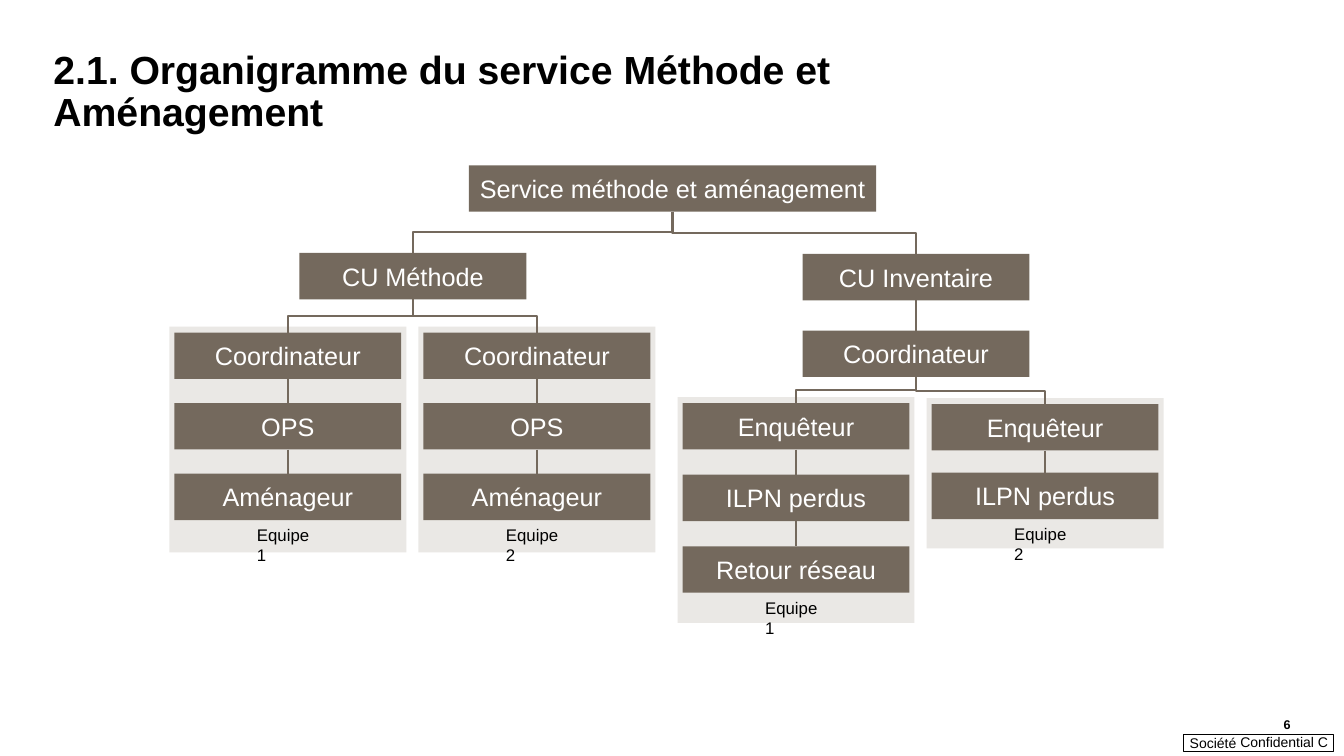
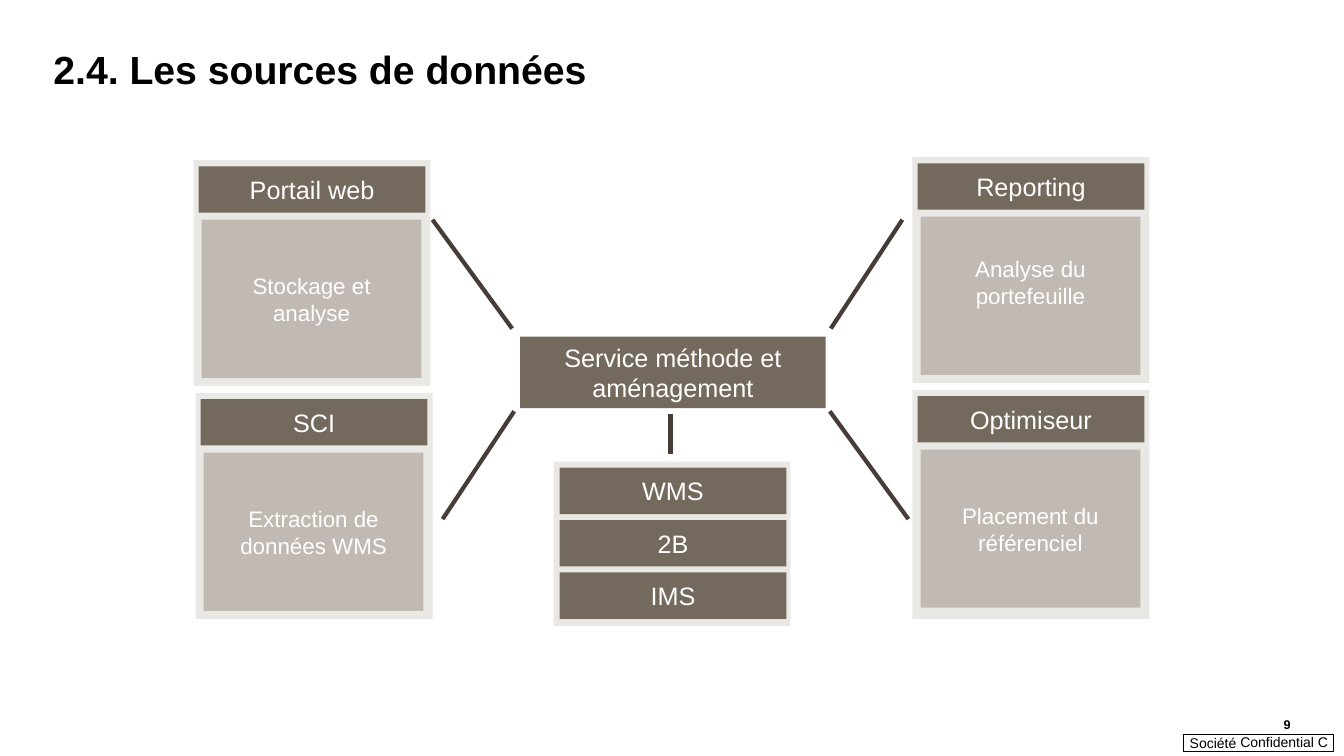
from dataclasses import dataclass

from lxml.etree import SubElement
from pptx import Presentation
from pptx.dml.color import RGBColor
from pptx.enum.shapes import MSO_CONNECTOR as CONN, MSO_SHAPE
from pptx.enum.text import MSO_ANCHOR as ANCHOR, PP_ALIGN as ALIGN
from pptx.oxml.ns import qn
from pptx.shapes.autoshape import Shape
from pptx.shapes.connector import Connector
from pptx.slide import Slide
from pptx.util import Inches, Pt


@dataclass(frozen=True)
class Theme:
    font: str = "Arial"
    black: RGBColor = RGBColor(0x00, 0x00, 0x00)
    white: RGBColor = RGBColor(0xFF, 0xFF, 0xFF)
    box: RGBColor = RGBColor(0x74, 0x69, 0x5D)
    panel: RGBColor = RGBColor(0xEA, 0xE8, 0xE5)
    detail: RGBColor = RGBColor(0xC1, 0xBA, 0xB2)
    link: RGBColor = RGBColor(0x48, 0x3C, 0x38)
    title_size: int = 28
    box_size: int = 18
    detail_size: int = 16
    label_size: int = 12
    footer_size: int = 10
    page_size: int = 9


@dataclass(frozen=True)
class Team:
    number: int
    left: float
    top: float
    pitch: float
    panel_height: float
    roles: tuple[str, ...]


@dataclass(frozen=True)
class Source:
    left: float
    top: float
    height: float
    name: str
    detail: str
    bottom_inset: float = 0.05


THEME = Theme()
BOX_W, BOX_H = 2.25, 0.46
PANEL_W = 2.35
PANEL_PAD_X, PANEL_PAD_Y = 0.05, 0.06

METHOD_ROLES = ("Coordinateur", "OPS", "Aménageur")
METHOD_TEAMS = (
    Team(1, 1.73, 3.3, 0.7, 2.24, METHOD_ROLES),
    Team(2, 4.2, 3.3, 0.7, 2.24, METHOD_ROLES),
)
INVENTORY_TEAMS = (
    Team(1, 6.77, 4, 0.71, 2.24, ("Enquêteur", "ILPN perdus", "Retour réseau")),
    Team(2, 9.24, 4.01, 0.68, 1.49, ("Enquêteur", "ILPN perdus")),
)
SOURCES = (
    Source(1.92, 1.59, 2.24, "Portail web", "Stockage et analyse"),
    Source(1.94, 3.9, 2.24, "SCI", "Extraction de données WMS"),
    Source(9.05, 1.56, 2.24, "Reporting", "Analyse du portefeuille", 0.32),
    Source(9.05, 3.87, 2.27, "Optimiseur", "Placement du référenciel"),
)
SOURCE_LINKS = (
    (5.08, 3.26, 4.29, 2.18),
    (5.1, 4.08, 4.39, 5.15),
    (8.24, 3.26, 8.95, 2.18),
    (8.23, 4.08, 9.01, 5.15),
    (6.65, 4.11, 6.65, 4.5),
)


def write(sp: Shape, text: str, size: int, color: RGBColor,
          align: ALIGN = ALIGN.LEFT, bold: bool = False) -> None:
    tf = sp.text_frame
    tf.word_wrap = True
    tf.text = text
    p = tf.paragraphs[0]
    p.alignment = align
    font = p.runs[0].font
    font.name, font.size, font.bold = THEME.font, Pt(size), bold
    font.color.rgb = color


def set_insets(sp: Shape, left: float = 0) -> None:
    tf = sp.text_frame
    tf.margin_left = Inches(left)
    tf.margin_top = tf.margin_right = tf.margin_bottom = 0


def add_text(s: Slide, text: str, left: float, top: float, width: float,
             height: float, size: int, align: ALIGN = ALIGN.LEFT,
             bold: bool = False, anchor: ANCHOR = ANCHOR.TOP) -> Shape:
    sp = s.shapes.add_textbox(Inches(left), Inches(top), Inches(width), Inches(height))
    write(sp, text, size, THEME.black, align, bold)
    sp.text_frame.vertical_anchor = anchor
    return sp


def add_rect(s: Slide, left: float, top: float, width: float, height: float,
             fill: RGBColor | None) -> Shape:
    sp = s.shapes.add_shape(MSO_SHAPE.RECTANGLE, Inches(left), Inches(top),
                            Inches(width), Inches(height))
    sp.shadow.inherit = False
    sp.line.fill.background()
    if fill is None:
        sp.fill.background()
    else:
        sp.fill.solid()
        sp.fill.fore_color.rgb = fill
    sp.text_frame.vertical_anchor = ANCHOR.MIDDLE
    return sp


def add_box(s: Slide, text: str, left: float, top: float, width: float = BOX_W,
            height: float = BOX_H, fill: RGBColor = THEME.box,
            size: int = THEME.box_size) -> Shape:
    sp = add_rect(s, left, top, width, height, fill)
    write(sp, text, size, THEME.white, ALIGN.CENTER)
    return sp


def style_line(line: Connector, color: RGBColor, width: float) -> None:
    line.line.color.rgb = color
    line.line.width = Pt(width)
    SubElement(line._element.spPr, qn("a:effectLst"))


def join(s: Slide, parent: Shape, child: Shape) -> None:
    """Link the bottom of parent to the top of child, with an elbow if they are offset."""
    x1, y1 = parent.left + parent.width // 2, parent.top + parent.height
    x2, y2 = child.left + child.width // 2, child.top
    dx, dy = x2 - x1, y2 - y1
    offset = abs(dx) > Inches(0.02)
    line = s.shapes.add_connector(CONN.ELBOW if offset else CONN.STRAIGHT, x1, y1, x2, y2)
    line.begin_connect(parent, 2)
    line.end_connect(child, 0)
    if offset:
        # An elbow runs sideways first, so it is turned to leave downwards.
        xfrm = line._element.spPr.find(qn("a:xfrm"))
        for flip in ("flipH", "flipV"):
            xfrm.attrib.pop(flip, None)
        line.width, line.height = dy, abs(dx)
        line.left = (x1 + x2 - dy) // 2
        line.top = (y1 + y2 - abs(dx)) // 2
        line.rotation = 270 if dx > 0 else 90
        if dx > 0:
            xfrm.set("flipH", "1")
    style_line(line, THEME.box, 1.5)


def add_page(prs: Presentation, title: str, number: int) -> Slide:
    """Add a blank slide with the shared title, page number and footer."""
    s = prs.slides.add_slide(prs.slide_layouts[6])
    page = add_text(s, str(number), 12.53, 7.09, 0.27, 0.17, THEME.page_size,
                    ALIGN.RIGHT, True, ANCHOR.BOTTOM)
    mark = add_text(s, "Confidential C", 12.15, 7.23, 1.02, 0.27, THEME.footer_size,
                    ALIGN.RIGHT, anchor=ANCHOR.MIDDLE)
    heading = add_text(s, title, 0.53, 0.5, 10.24, 0.33, THEME.title_size, bold=True)
    for sp in (page, mark, heading):
        set_insets(sp)
    p = heading.text_frame.paragraphs[0]
    p.line_spacing, p.space_after = 0.9, Pt(2)

    owner = add_rect(s, 11.74, 7.29, 1.48, 0.16, None)
    owner.line.color.rgb = THEME.black
    owner.line.width = Pt(0.5)
    write(owner, "Société", THEME.footer_size, THEME.black)
    set_insets(owner, 0.06)
    return s


def add_team(s: Slide, team: Team, parent: Shape) -> None:
    add_rect(s, team.left - PANEL_PAD_X, team.top - PANEL_PAD_Y,
             PANEL_W, team.panel_height, THEME.panel)
    for i, role in enumerate(team.roles):
        box = add_box(s, role, team.left, team.top + i * team.pitch)
        join(s, parent, box)
        parent = box
    last_top = team.top + (len(team.roles) - 1) * team.pitch
    add_text(s, f"Equipe {team.number}", team.left + 0.72, last_top + 0.46,
             0.79, 0.3, THEME.label_size)


def add_source(s: Slide, src: Source) -> None:
    add_rect(s, src.left, src.top, PANEL_W, src.height, THEME.panel)
    add_box(s, src.name, src.left + PANEL_PAD_X, src.top + PANEL_PAD_Y)
    detail = add_box(s, src.detail, src.left + 0.08, src.top + 0.59, 2.18, 1.57,
                     THEME.detail, THEME.detail_size)
    detail.text_frame.margin_bottom = Inches(src.bottom_inset)


def build_org_chart(prs: Presentation) -> None:
    s = add_page(prs, "2.1. Organigramme du service Méthode et Aménagement", 6)
    service = add_box(s, "Service méthode et aménagement", 4.65, 1.64, 4.04)
    method = add_box(s, "CU Méthode", 2.97, 2.51)
    inventory = add_box(s, "CU Inventaire", 7.96, 2.52)
    coordinator = add_box(s, "Coordinateur", 7.96, 3.28)
    for parent, child in ((service, method), (service, inventory),
                          (inventory, coordinator)):
        join(s, parent, child)
    for parent, teams in ((method, METHOD_TEAMS), (coordinator, INVENTORY_TEAMS)):
        for team in teams:
            add_team(s, team, parent)


def build_data_sources(prs: Presentation) -> None:
    s = add_page(prs, "2.4. Les sources de données", 9)
    for src in SOURCES:
        add_source(s, src)
    add_box(s, "Service méthode et aménagement", 5.16, 3.34, 3.03, 0.71)
    add_rect(s, 5.49, 4.58, PANEL_W, 1.63, THEME.panel)
    for i, system in enumerate(("WMS", "2B", "IMS")):
        add_box(s, system, 5.55, 4.64 + i * 0.52)
    for ends in SOURCE_LINKS:
        line = s.shapes.add_connector(CONN.STRAIGHT, *map(Inches, ends))
        style_line(line, THEME.link, 3)


def main() -> None:
    prs = Presentation()
    prs.slide_width, prs.slide_height = Inches(13.33), Inches(7.5)
    build_org_chart(prs)
    build_data_sources(prs)
    prs.save("out.pptx")


if __name__ == "__main__":
    main()
